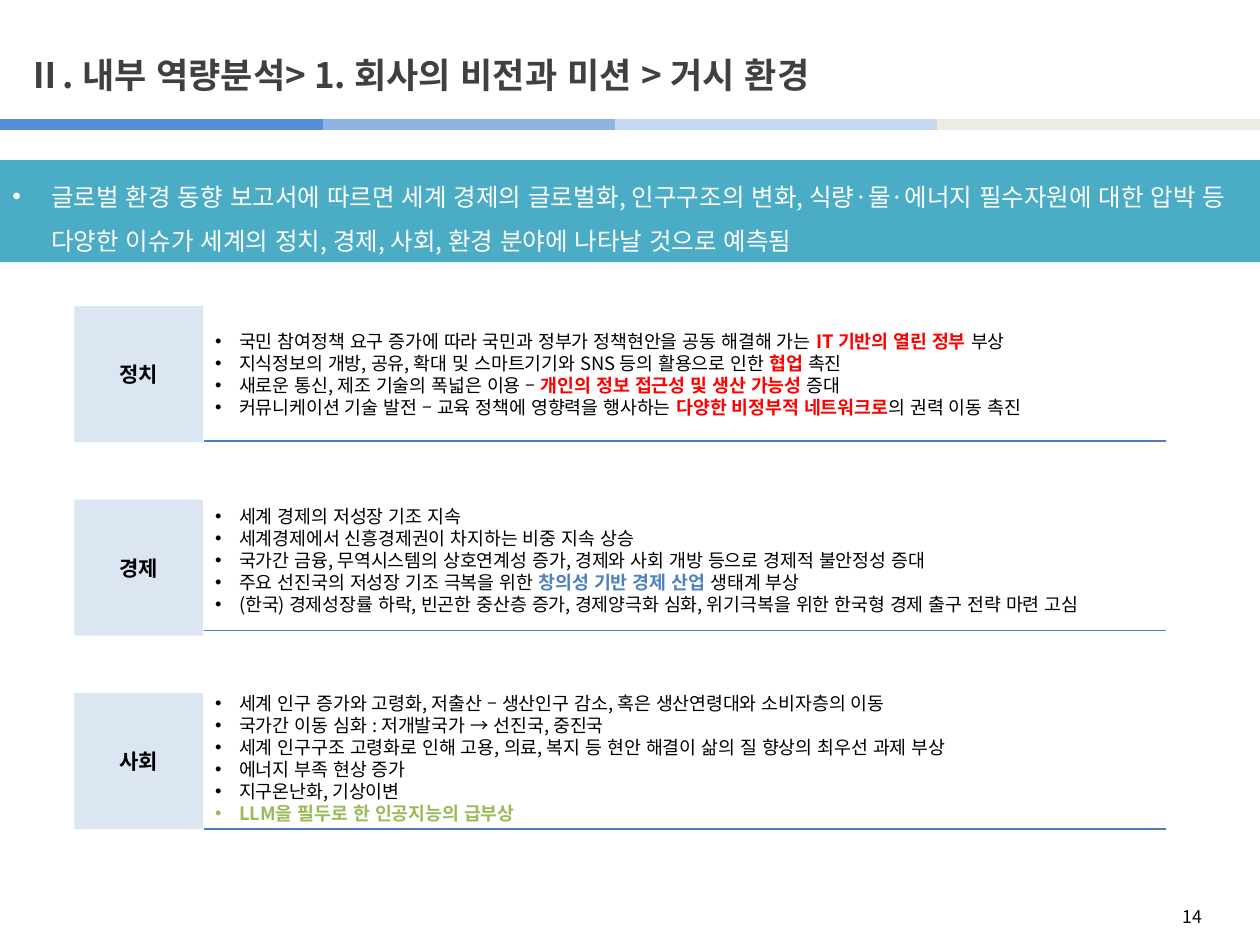
from dataclasses import dataclass
from lxml.etree import SubElement
from pptx import Presentation
from pptx.dml.color import RGBColor
from pptx.enum.lang import MSO_LANGUAGE_ID
from pptx.enum.shapes import MSO_CONNECTOR, MSO_SHAPE
from pptx.enum.text import MSO_ANCHOR, PP_ALIGN
from pptx.oxml.ns import qn
from pptx.util import Inches, Pt

FONT = "Noto Sans CJK KR"
COLUMNS, ROWS, CELL = 100, 75, 0.1
BLACK, WHITE, RED, BLUE, GREEN = "000000", "FFFFFF", "FF0000", "4F81BD", "9BBB59"

TITLE = "Ⅱ. 내부 역량분석> 1. 회사의 비전과 미션 > 거시 환경"
SUMMARY = ("글로벌 환경 동향 보고서에 따르면 세계 경제의 글로벌화, 인구구조의 변화, "
           "식량·물·에너지 필수자원에 대한 압박 등 다양한 이슈가 세계의 정치, 경제, "
           "사회, 환경 분야에 나타날 것으로 예측됨")
POLITICS = [
    ["국민 참여정책 요구 증가에 따라 국민과 정부가 정책현안을 공동 해결해 가는 ",
     ("IT 기반의 열린 정부 ", RED), "부상"],
    ["지식정보의 개방, 공유, 확대 및 스마트기기와 SNS 등의 활용으로 인한 ",
     ("협업", RED), " 촉진"],
    ["새로운 통신, 제조 기술의 폭넓은 이용 – ",
     ("개인의 정보 접근성 및 생산 가능성 ", RED), "증대"],
    ["커뮤니케이션 기술 발전 – 교육 정책에 영향력을 행사하는 ",
     ("다양한 비정부적 네트워크로", RED), "의 권력 이동 촉진"],
]
ECONOMY = [
    ["세계 경제의 저성장 기조 지속"],
    ["세계경제에서 신흥경제권이 차지하는 비중 지속 상승"],
    ["국가간 금융, 무역시스템의 상호연계성 증가, 경제와 사회 개방 등으로 경제적 불안정성 증대"],
    ["주요 선진국의 저성장 기조 극복을 위한 ", ("창의성 기반 경제 산업 ", BLUE), "생태계 부상"],
    ["(한국) 경제성장률 하락, 빈곤한 중산층 증가, 경제양극화 심화, "
     "위기극복을 위한 한국형 경제 출구 전략 마련 고심"],
]
SOCIETY = [
    ["세계 인구 증가와 고령화, 저출산 – 생산인구 감소, 혹은 생산연령대와 소비자층의 이동"],
    ["국가간 이동 심화 : 저개발국가 → 선진국, 중진국"],
    ["세계 인구구조 고령화로 인해 고용, 의료, 복지 등 현안 해결이 삶의 질 향상의 최우선 과제 부상"],
    ["에너지 부족 현상 증가"],
    ["지구온난화, 기상이변"],
    [("LLM을 필두로 한 인공지능의 급부상", GREEN)],
]


@dataclass
class Box:
    left: float
    top: float
    width: float
    height: float

    def lengths(self):
        return [grid(n) for n in (self.left, self.top, self.width, self.height)]


def grid(cells):
    return Inches(cells * CELL)


def colour(code):
    return RGBColor.from_string(code)


def assign(target, formats):
    for key, value in formats.items():
        setattr(target, key, value)


def write(paragraph, text, size, code, bold=False):
    run = paragraph.add_run()
    run.text = text
    assign(run.font, {"name": FONT, "size": Pt(size), "bold": bold,
                      "language_id": MSO_LANGUAGE_ID.KOREAN})
    run.font.color.rgb = colour(code)
    SubElement(run._r.get_or_add_rPr(), qn("a:ea"), typeface=FONT)


def add_bullet(paragraph, indent):
    properties = paragraph._p.get_or_add_pPr()
    properties.set("marL", str(Inches(indent)))
    properties.set("indent", str(-Inches(indent)))
    SubElement(properties, qn("a:buFont"), typeface="Arial")
    SubElement(properties, qn("a:buChar"), char="•")


def add_panel(slide, box, fill):
    panel = slide.shapes.add_shape(MSO_SHAPE.RECTANGLE, *box.lengths())
    panel.shadow.inherit = False
    panel.fill.solid()
    panel.fill.fore_color.rgb = colour(fill)
    panel.line.fill.background()
    assign(panel.text_frame, {"word_wrap": True, "vertical_anchor": MSO_ANCHOR.MIDDLE})
    return panel.text_frame


def add_text(slide, box):
    frame = slide.shapes.add_textbox(*box.lengths()).text_frame
    assign(frame, {"word_wrap": True, "vertical_anchor": MSO_ANCHOR.MIDDLE})
    return frame


def add_rule(slide, left, right, row, code, weight):
    rule = slide.shapes.add_connector(
        MSO_CONNECTOR.STRAIGHT, grid(left), grid(row), grid(right), grid(row))
    rule.line.color.rgb = colour(code)
    rule.line.width = Pt(weight)
    SubElement(rule._element.spPr, qn("a:effectLst"))


def add_stripes(slide, box):
    edges = [0, 0.256, 0.488, 0.744, 1]
    codes = ["558ED5", "8EB4E3", "C6D9F1", "EEECE1"]
    for start, end, code in zip(edges, edges[1:], codes):
        add_rule(slide, box.left + start * box.width, box.left + end * box.width,
                 box.top + box.height / 2, code, 6)


def add_title(slide, box):
    title = slide.shapes.title
    assign(title, dict(zip(("left", "top", "width", "height"), box.lengths())))
    assign(title.text_frame, {"word_wrap": True, "vertical_anchor": MSO_ANCHOR.MIDDLE})
    heading = title.text_frame.paragraphs[0]
    heading.alignment = PP_ALIGN.LEFT
    write(heading, TITLE, 20, "404040", True)


def add_summary(slide, box):
    summary = add_panel(slide, box, "4BACC6").paragraphs[0]
    assign(summary, {"alignment": PP_ALIGN.LEFT, "line_spacing": 1.5})
    add_bullet(summary, 0.31)
    write(summary, SUMMARY, 14, WHITE)


def add_section(slide, box, heading, points, text_rise, rule_drop):
    label_width = 10.2
    label = add_panel(slide, Box(box.left, box.top, label_width, box.height), "DCE6F2")
    label.paragraphs[0].alignment = PP_ALIGN.CENTER
    write(label.paragraphs[0], heading, 12, BLACK, True)

    body_left, right = box.left + label_width, box.left + box.width
    add_rule(slide, body_left + 0.1, right, box.top + rule_drop, "4B7EBC", 0.75)
    body = add_text(slide, Box(body_left, box.top - text_rise, right - body_left, box.height))
    for index, parts in enumerate(points):
        point = body.add_paragraph() if index else body.paragraphs[0]
        add_bullet(point, 0.19)
        for part in parts:
            emphasised = isinstance(part, tuple)
            text, code = part if emphasised else (part, BLACK)
            write(point, text, 10.5, code, emphasised)


def add_page_number(slide, box):
    number = add_text(slide, box).paragraphs[0]
    number.alignment = PP_ALIGN.RIGHT
    write(number, "14", 10, BLACK)


def main():
    deck = Presentation()
    assign(deck, {"slide_width": grid(COLUMNS), "slide_height": grid(ROWS)})
    slide = deck.slides.add_slide(deck.slide_layouts[5])
    add_stripes(slide, Box(0, 9.5, COLUMNS, 0.8))
    add_page_number(slide, Box(73.1, 71.3, 23.3, 2.8))
    add_title(slide, Box(1.2, 2.9, 75.6, 6))
    add_summary(slide, Box(0, 12.7, COLUMNS, 8.1))
    sections = [("정치", POLITICS, 0, 10.7), ("경제", ECONOMY, 0.6, 10.4),
                ("사회", SOCIETY, 0.2, 10.8)]
    for index, section in enumerate(sections):
        add_section(slide, Box(5.9, 24.3 + 15.35 * index, 86.6, 10.8), *section)
    deck.save("out.pptx")


if __name__ == "__main__":
    main()
